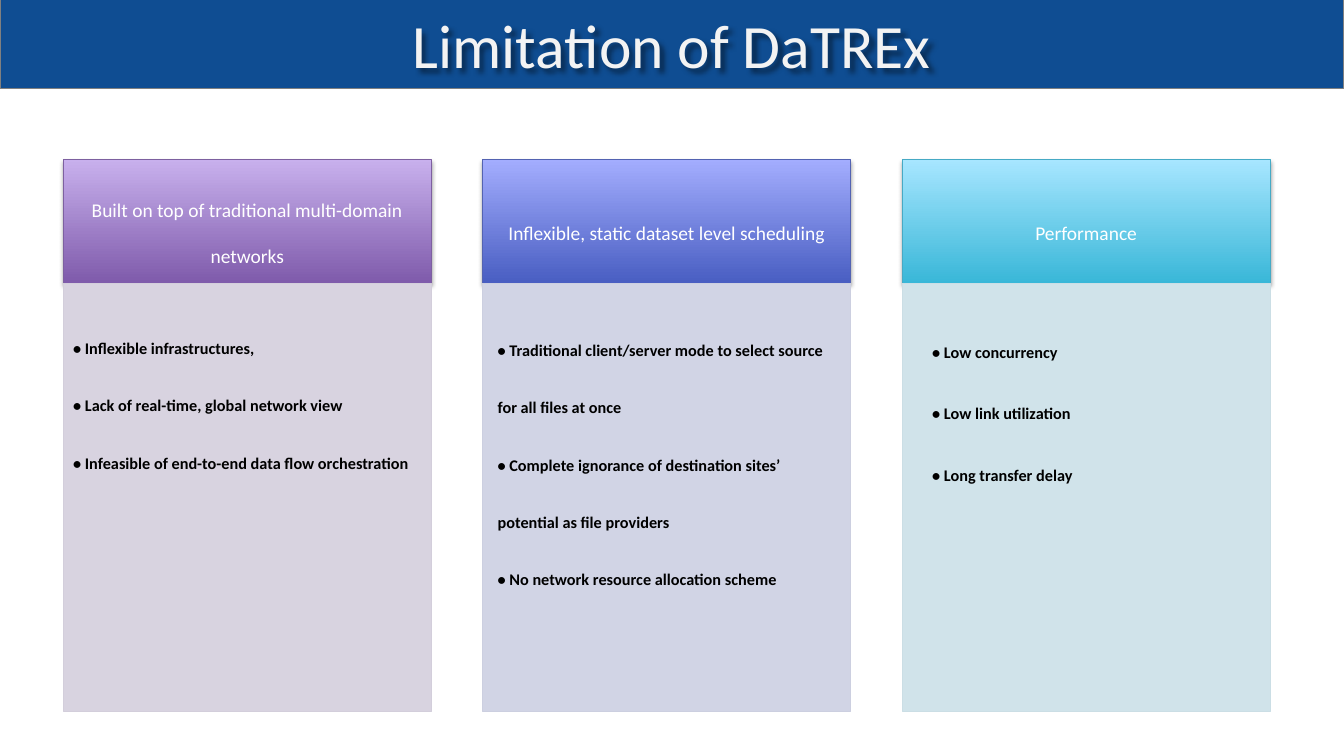
from lxml import etree
from pptx import Presentation
from pptx.dml.color import RGBColor
from pptx.enum import shapes, text
from pptx.oxml import ns
from pptx.util import Pt

WHITE = RGBColor(0xFF, 0xFF, 0xFF)
BLACK = RGBColor(0, 0, 0)
PALE = RGBColor(0xF3, 0xF3, 0xF3)
NAVY = RGBColor(0x0F, 0x4D, 0x92)
GRAY = RGBColor(0x80, 0x80, 0x80)
PURPLE = [RGBColor.from_string(c) for c in ("7F5BAB", "C8B0ED", "7D60A0", "D8D3E0", "D3CEDB")]
INDIGO = [RGBColor.from_string(c) for c in ("495EC2", "A3ADFE", "5363B2", "D1D4E5", "CCCFE0")]
CYAN = [RGBColor.from_string(c) for c in ("39B7D8", "A7E6FF", "46AAC5", "D0E3EA", "CBDEE5")]

WIDE, HIGH, BAR = 960, 540, 63.2
LEFT, STEP, COL = 45.2, 299.6, 263
TOP, HEAD, BODY = 114, 88.2, 305.8

TITLE = {"size": Pt(44), "name": "Calibri"}
LABEL = {"size": Pt(24), "name": "Calibri", "bold": False}
ITEM = {"size": Pt(20), "name": "Calibri", "bold": True}

COLUMNS = [
    ("Built on top of traditional multi-domain networks", PURPLE,
     (45.2, 211, 263, 0),
     ["• Inflexible infrastructures,",
      "• Lack of real-time, global network view",
      "• Infeasible of end-to-end data flow orchestration"]),
    ("Inflexible, static dataset level scheduling", INDIGO,
     (348.4, 212.4, 263, 0),
     ["• Traditional client/server mode to select source for all files at once",
      "• Complete ignorance of destination sites’ potential as file providers",
      "• No network resource allocation scheme"]),
    ("Performance", CYAN,
     (658.8, 213.8, 234, 3),
     ["• Low concurrency", "• Low link utilization", "• Long transfer delay"]),
]


def apply(item, style):
    for key, val in style.items():
        setattr(item, key, val)


def node(up, tag, **vals):
    el = etree.SubElement(up, ns.qn(tag))
    for key, val in vals.items():
        el.set(key, str(val))
    return el


def shade(props, blur, dist, angle, alpha):
    glow = node(node(props, "a:effectLst"), "a:outerShdw", blurRad=Pt(blur),
                dist=Pt(dist), dir=angle * 60000, algn="ctr", rotWithShape=0)
    node(node(glow, "a:srgbClr", val=BLACK), "a:alpha", val=alpha * 1000)


def write(par, words, style, color):
    run = par.add_run()
    run.text = words
    apply(run.font, style)
    run.font.color.rgb = color
    return run


def lower(run):
    run._r.get_or_add_rPr().set("baseline", "-25000")


def block(slide, left, top, width, height, edge):
    box = slide.shapes.add_shape(shapes.MSO_SHAPE.RECTANGLE,
                                 Pt(left), Pt(top), Pt(width), Pt(height))
    box.line.color.rgb = edge
    box.line.width = Pt(0.75)
    return box


def banner(slide, words):
    bar = block(slide, 0, 0, WIDE, BAR, GRAY)
    bar.shadow.inherit = False
    bar.fill.solid()
    bar.fill.fore_color.rgb = NAVY
    slide.shapes._spTree.insert(2, bar._element)
    title = slide.shapes.title
    apply(title, {"left": Pt(0), "top": Pt(0), "width": Pt(WIDE), "height": Pt(BAR)})
    title.fill.background()
    shade(title._element.spPr, 3, 3, 45, 45)
    frame = title.text_frame
    apply(frame, {"vertical_anchor": text.MSO_ANCHOR.MIDDLE, "word_wrap": True})
    par = frame.paragraphs[0]
    par.alignment = text.PP_ALIGN.CENTER
    write(par, words, TITLE, PALE)


def header(slide, left, words, tones):
    box = block(slide, left, TOP, COL, HEAD, tones[2])
    box.fill.gradient()
    box.fill.gradient_angle = 90
    for stop, tone in zip(box.fill.gradient_stops, tones):
        stop.color.rgb = tone
    shade(box._element.spPr, 3.1, 1.8, 90, 35)
    frame = box.text_frame
    apply(frame, {"word_wrap": True, "vertical_anchor": text.MSO_ANCHOR.MIDDLE,
                  "margin_left": Pt(16), "margin_right": Pt(16),
                  "margin_top": Pt(9), "margin_bottom": Pt(9)})
    par = frame.paragraphs[0]
    apply(par, {"alignment": text.PP_ALIGN.CENTER, "space_after": Pt(8)})
    lower(write(par, words, LABEL, WHITE))


def panel(slide, left, tones):
    box = block(slide, left, TOP + HEAD, COL, BODY, tones[4])
    box.shadow.inherit = False
    box.fill.solid()
    box.fill.fore_color.rgb = tones[3]


def points(slide, place, items):
    left, top, width, gap = place
    box = slide.shapes.add_textbox(Pt(left), Pt(top), Pt(width), Pt(120))
    frame = box.text_frame
    apply(frame, {"word_wrap": True, "auto_size": text.MSO_AUTO_SIZE.SHAPE_TO_FIT_TEXT})
    for num, words in enumerate(items):
        par = frame.add_paragraph() if num else frame.paragraphs[0]
        apply(par, {"line_spacing": 1.5, "space_after": Pt(gap)})
        lower(write(par, words, ITEM, BLACK))


def main():
    deck = Presentation()
    apply(deck, {"slide_width": Pt(WIDE), "slide_height": Pt(HIGH)})
    slide = deck.slides.add_slide(deck.slide_layouts[5])
    banner(slide, "Limitation of DaTREx")
    for num, (words, tones, place, items) in enumerate(COLUMNS):
        left = LEFT + num * STEP
        header(slide, left, words, tones)
        panel(slide, left, tones)
        points(slide, place, items)
    deck.save("out.pptx")


if __name__ == "__main__":
    main()
